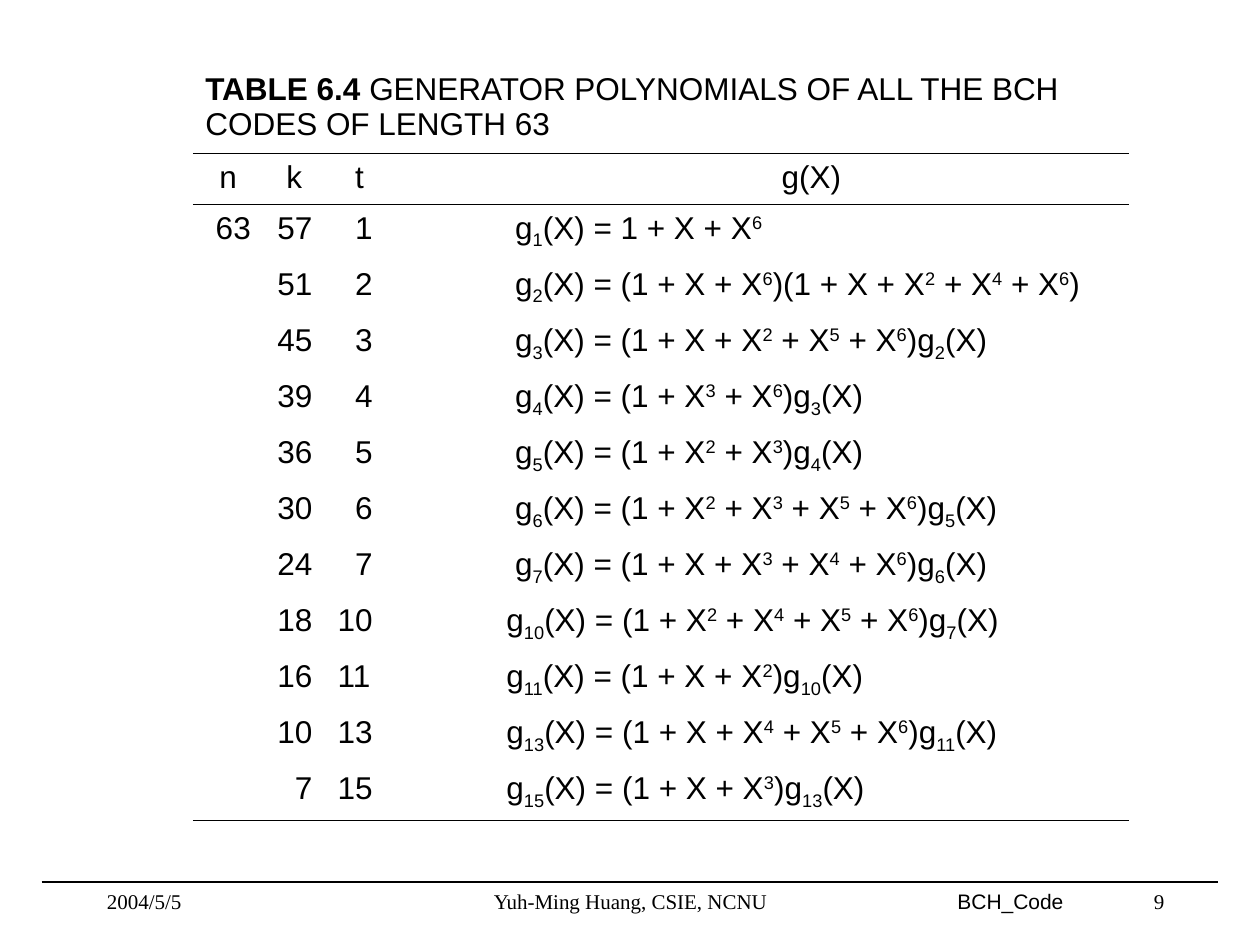
from lxml import etree
from pptx import Presentation
from pptx.dml.color import RGBColor
from pptx.enum.shapes import MSO_CONNECTOR
from pptx.enum.text import PP_ALIGN
from pptx.oxml.ns import qn
from pptx.util import Inches, Pt

LEFT, CENTER, RIGHT = PP_ALIGN.LEFT, PP_ALIGN.CENTER, PP_ALIGN.RIGHT
STRAIGHT = MSO_CONNECTOR.STRAIGHT
SUBSCRIPT, SUPERSCRIPT = "-25000", "30000"
BLACK = "000000"

CAPTION = [("TABLE 6.4", None, True),
           (" GENERATOR POLYNOMIALS OF ALL THE BCH CODES OF LENGTH 63", None)]
HEADINGS = ["n", "k", "t", "g(X)"]
# k, t and the exponents of the factor that each code adds
CODES = [
    (57, 1, [1, 6]), (51, 2, [1, 2, 4, 6]), (45, 3, [1, 2, 5, 6]),
    (39, 4, [3, 6]), (36, 5, [2, 3]), (30, 6, [2, 3, 5, 6]),
    (24, 7, [1, 3, 4, 6]), (18, 10, [2, 4, 5, 6]), (16, 11, [1, 2]),
    (10, 13, [1, 4, 5, 6]), (7, 15, [1, 3]),
]
COLUMN_WIDTHS = [0.56, 0.49, 1.34, 5.04]
TABLE_LEFT, TABLE_TOP, TABLE_BOTTOM = 1.53, 0.52, 6.51
CAPTION_HEIGHT, HEADING_HEIGHT = 0.7, 0.4
CELL_INSET, DIGIT_WIDTH = 0.1, 0.14


def color(value):
    return RGBColor.from_string(value)


def polynomial(exponents):
    """Runs for 1 + X^a + X^b + ..."""
    runs, text = [], "1"
    for exponent in exponents:
        text += " + X"
        if exponent > 1:
            runs += [(text, None), (str(exponent), SUPERSCRIPT)]
            text = ""
    return runs + [(text, None)]


def merge_runs(*groups):
    """Chain groups of runs, merging neighbours on the same baseline."""
    merged = []
    for text, baseline in (run for group in groups for run in group):
        if not text:
            continue
        if merged and merged[-1][1] == baseline:
            text = merged.pop()[0] + text
        merged.append((text, baseline))
    return merged


def plain(text):
    return [(text, None)]


def generator(index):
    """Each generator is its own factor times the preceding generator."""
    name = [("g", None), (str(CODES[index][1]), SUBSCRIPT)]
    factor = polynomial(CODES[index][2])
    if index == 0:
        return merge_runs(name, plain("(X) = "), factor)
    if index == 1:
        first = polynomial(CODES[0][2])
        return merge_runs(name, plain("(X) = ("), first, plain(")("), factor, plain(")"))
    previous = [("g", None), (str(CODES[index - 1][1]), SUBSCRIPT)]
    return merge_runs(name, plain("(X) = ("), factor, plain(")"), previous, plain("(X)"))


class SlideBuilder:
    table_format = {"name": "Arial", "size": Pt(18)}
    footer_format = {"name": "Times New Roman", "size": Pt(12)}
    rule_width = 0.45

    def __init__(self, slide):
        self.slide = slide

    def fill_text(self, frame, runs, style, align=LEFT):
        paragraph = frame.paragraphs[0]
        paragraph.alignment = align
        for text, baseline, *bold in runs:
            run = paragraph.add_run()
            run.text = text
            for key, value in {**style, "bold": bool(bold)}.items():
                setattr(run.font, key, value)
            run.font.color.rgb = color(BLACK)
            if baseline:
                run._r.get_or_add_rPr().set("baseline", baseline)

    def text(self, words, left, width, align=LEFT, **changes):
        box = self.slide.shapes.add_textbox(
            Inches(left), Inches(7), Inches(width), Inches(0.33))
        box.text_frame.word_wrap = True
        self.fill_text(box.text_frame, plain(words), {**self.footer_format, **changes}, align)

    def line(self, left, right, top):
        line = self.slide.shapes.add_connector(
            STRAIGHT, Inches(left), Inches(top), Inches(right), Inches(top))
        line.line.color.rgb = color(BLACK)
        line.line.width = Pt(0.75)
        etree.SubElement(line._element.spPr, qn("a:effectLst"))

    def table(self, row_heights):
        frame = self.slide.shapes.add_table(
            len(row_heights), len(COLUMN_WIDTHS), Inches(TABLE_LEFT), Inches(TABLE_TOP),
            Inches(sum(COLUMN_WIDTHS)), Inches(sum(row_heights)))
        table = frame.table
        table.first_row = table.horz_banding = False
        for column, width in zip(table.columns, COLUMN_WIDTHS):
            column.width = Inches(width)
        for row, height in zip(table.rows, row_heights):
            row.height = Inches(height)
        return table

    def borders(self, cell, ruled_sides):
        properties = cell._tc.get_or_add_tcPr()
        for side in "LRTB":
            border = etree.SubElement(properties, qn(f"a:ln{side}"))
            if side in ruled_sides:
                border.set("w", str(int(Pt(self.rule_width))))
                fill = etree.SubElement(border, qn("a:solidFill"))
                etree.SubElement(fill, qn("a:srgbClr"), val=BLACK)
            else:
                border.set("w", "0")
                etree.SubElement(border, qn("a:noFill"))
        cell.fill.background()

    def cell(self, cell, runs, align=LEFT, indent=0):
        cell.margin_left = Inches(CELL_INSET + indent)
        self.fill_text(cell.text_frame, runs, self.table_format, align)


def main():
    presentation = Presentation()
    presentation.slide_width, presentation.slide_height = Inches(10), Inches(7.5)
    builder = SlideBuilder(presentation.slides.add_slide(presentation.slide_layouts[6]))

    # Footer
    builder.text("BCH_Code", 7.5, 2.08, name="Arial")
    builder.line(0.33, 9.67, 7)
    builder.text("2004/5/5", 0.75, 2.08)
    builder.text("Yuh-Ming Huang, CSIE, NCNU", 2.92, 4.17, CENTER)
    builder.text("9", 7.42, 1.92, RIGHT)

    # Table grid: rules above and below the headings and under the last row
    body_height = TABLE_BOTTOM - TABLE_TOP - CAPTION_HEIGHT - HEADING_HEIGHT
    heights = [CAPTION_HEIGHT, HEADING_HEIGHT] + [body_height / len(CODES)] * len(CODES)
    table = builder.table(heights)
    ruled_sides = {0: "B", 1: "TB", 2: "T", len(heights) - 1: "B"}
    for row in range(len(heights)):
        for column in range(len(COLUMN_WIDTHS)):
            builder.borders(table.cell(row, column), ruled_sides.get(row, ""))

    # Caption and headings
    table.cell(0, 0).merge(table.cell(0, len(COLUMN_WIDTHS) - 1))
    builder.cell(table.cell(0, 0), CAPTION)
    for column, heading in enumerate(HEADINGS):
        is_t = heading == "t"
        builder.cell(table.cell(1, column), plain(heading),
                     LEFT if is_t else CENTER, DIGIT_WIDTH if is_t else 0)

    # Codes: one-digit values of t are indented to line up with the others
    builder.cell(table.cell(2, 0), plain("63"), RIGHT)
    for index, (k, t, _) in enumerate(CODES):
        row = index + 2
        indent = DIGIT_WIDTH if t < 10 else 0
        builder.cell(table.cell(row, 1), plain(str(k)), RIGHT)
        builder.cell(table.cell(row, 2), plain(str(t)), indent=indent)
        builder.cell(table.cell(row, 3), generator(index), indent=indent / 2)

    presentation.save("out.pptx")


if __name__ == "__main__":
    main()
